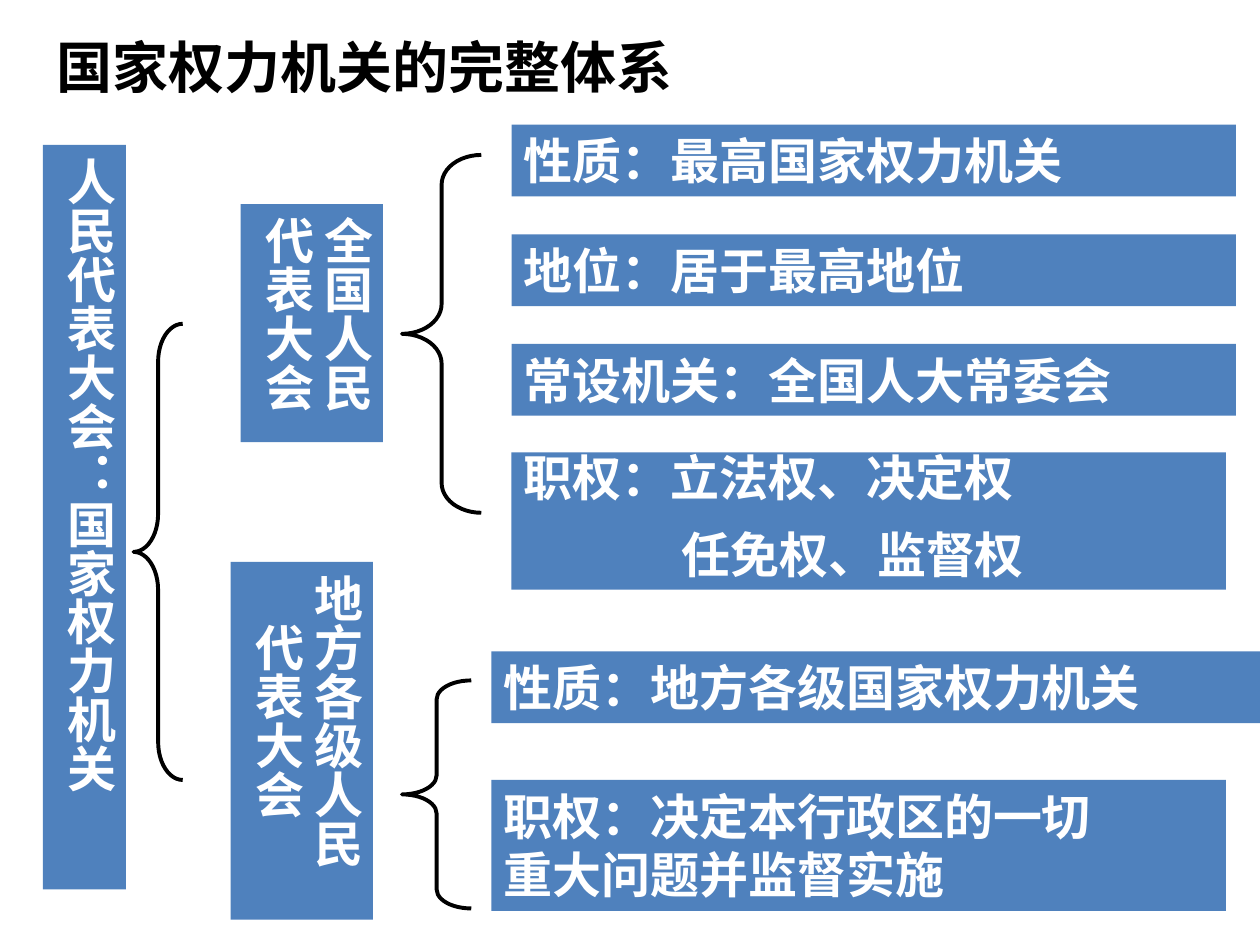
"""Build a slide on the complete system of state power organs."""
from pptx import Presentation
from pptx.dml.color import RGBColor
from pptx.enum.shapes import MSO_SHAPE
from pptx.enum.text import MSO_ANCHOR, PP_ALIGN
from pptx.util import Inches, Pt

RECT, BRACE = MSO_SHAPE.RECTANGLE, MSO_SHAPE.LEFT_BRACE
TOP, CENTER, LEFT = MSO_ANCHOR.TOP, PP_ALIGN.CENTER, PP_ALIGN.LEFT
COLORS = {"blue": "4F81BD", "white": "FFFFFF", "black": "000000"}
FONT = "Calibri"

TITLE = "国家权力机关的完整体系"
COLUMNS = [
    (0.34, 1.15, 0.66, 5.91, ["人民代表大会：国家权力机关"]),
    (1.91, 1.62, 1.13, 1.89, ["全国人民", "代表大会"]),
    (1.83, 4.46, 1.13, 2.84, ["地方各级人民", "代表大会"]),
]
BRACES = [
    (1.06, 2.57, 0.39, 3.62),
    (3.19, 1.23, 0.63, 2.84),
    (3.19, 5.4, 0.55, 1.81),
]
NATIONAL = ["性质：最高国家权力机关", "地位：居于最高地位", "常设机关：全国人大常委会"]
POWERS = ["职权：立法权、决定权", "任免权、监督权"]
LOCAL = [
    (3.9, 5.17, 6.1, 0.57, ["性质：地方各级国家权力机关"]),
    (3.9, 6.19, 5.83, 1.04, ["职权：决定本行政区的一切", "重大问题并监督实施"]),
]
ROW_LEFT, ROW_TOP, ROW_STEP = 4.06, 0.99, 0.87


def rgb(name):
    return RGBColor.from_string(COLORS[name])


def write(p, lines, size=28, color="white"):
    for i, line in enumerate(lines):
        if i:
            p.add_line_break()
        r = p.add_run()
        r.text = line
        r.font.name, r.font.size, r.font.bold = FONT, Pt(size), True
        r.font.color.rgb = rgb(color)


def add_box(slide, at, lines, vertical=False):
    s = slide.shapes.add_shape(RECT, *map(Inches, at))
    s.shadow.inherit = False
    s.fill.solid()
    s.fill.fore_color.rgb = rgb("blue")
    s.line.fill.background()
    tf = s.text_frame
    tf.word_wrap, tf.vertical_anchor = True, TOP
    p = tf.paragraphs[0]
    p.alignment = LEFT
    if vertical:
        s.element.txBody.bodyPr.set("vert", "eaVert")
        tf.margin_left = tf.margin_right = Inches(0.05)
        tf.margin_top = tf.margin_bottom = Inches(0.1)
        p.alignment = CENTER
    write(p, lines)
    return tf


def add_brace(slide, at):
    s = slide.shapes.add_shape(BRACE, *map(Inches, at))
    s.shadow.inherit = False
    s.fill.background()
    s.line.color.rgb = rgb("black")
    s.line.width = Pt(2.25)
    s.adjustments[0] = at[3] / 12 / at[2]


def main():
    prs = Presentation()
    prs.slide_width, prs.slide_height = Inches(10), Inches(7.5)
    slide = prs.slides.add_slide(prs.slide_layouts[6])

    title = slide.shapes.add_textbox(*map(Inches, (0.35, 0.21, 9.45, 0.64)))
    title.text_frame.word_wrap = True
    write(title.text_frame.paragraphs[0], [TITLE], 32, "black")

    for *at, lines in COLUMNS:
        add_box(slide, at, lines, vertical=True)
    for at in BRACES:
        add_brace(slide, at)
    for i, line in enumerate(NATIONAL):
        add_box(slide, (ROW_LEFT, ROW_TOP + i * ROW_STEP, 5.75, 0.57), [line])
    for *at, lines in LOCAL:
        add_box(slide, at, lines)

    tf = add_box(slide, (ROW_LEFT, 3.59, 5.67, 1.09), POWERS[:1])
    p = tf.add_paragraph()
    p.alignment, p.space_before = LEFT, Pt(17.5)
    p._p.get_or_add_pPr().set("marL", str(Inches(1.25)))
    write(p, POWERS[1:])
    for p in tf.paragraphs:
        p.line_spacing = 0.8

    prs.save("out.pptx")


if __name__ == "__main__":
    main()
